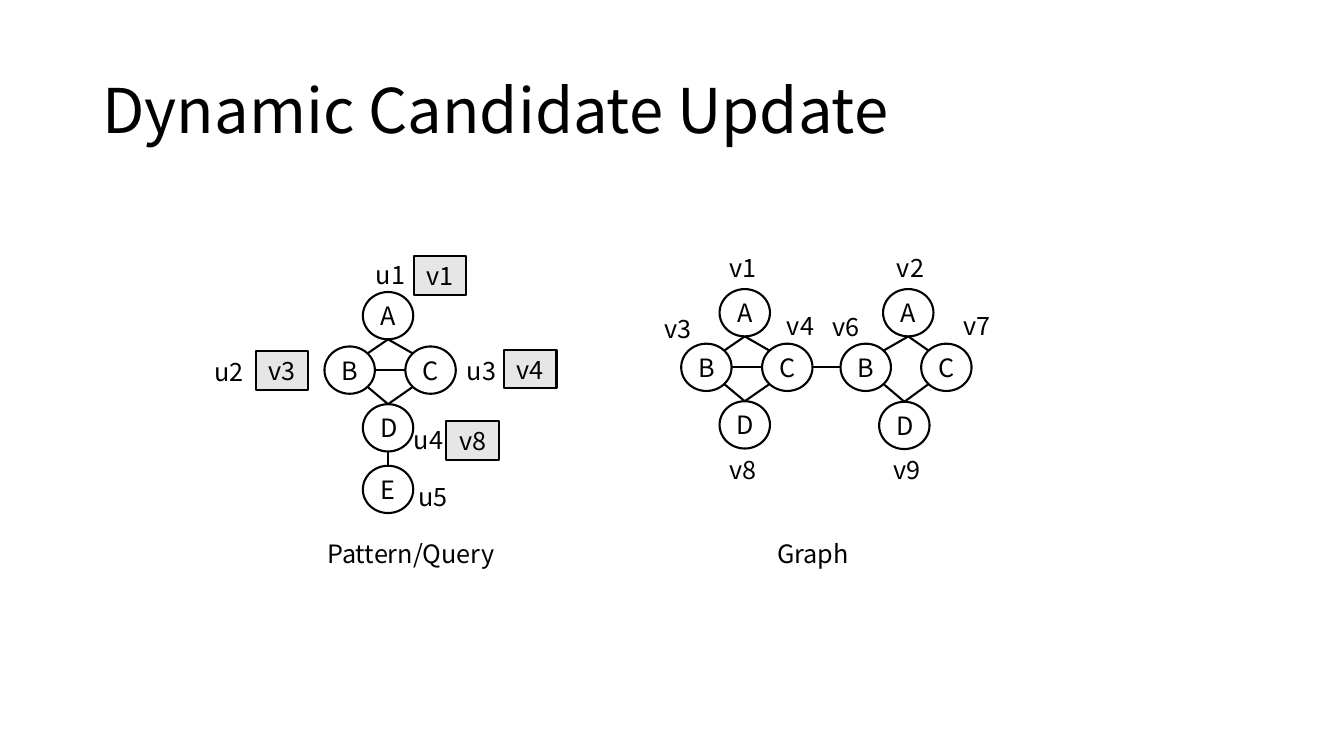
"""Build the Dynamic Candidate Update slide: a query pattern beside its data graph."""
from lxml import etree
from pptx import Presentation
from pptx.dml.color import RGBColor
from pptx.enum import shapes, text
from pptx.oxml import ns
from pptx.util import Pt

FONT, BLACK, WHITE, GREY = "Noto Sans CJK SC", "000000", "FFFFFF", "E7E6E6"
TITLE = "Dynamic Candidate Update"
NODE, LABEL, CANDIDATE, CAPTION = (36, 33.8), (44.6, 29), (37.5, 27.5), (134, 29)
SITES = {"top": (0.5, 0), "bottom": (0.5, 1), "left": (0, 0.5), "right": (1, 0.5),
         "top left": (0.146, 0.146), "top right": (0.854, 0.146),
         "bottom left": (0.146, 0.854), "bottom right": (0.854, 0.854)}

GRAPH = {
    "nodes": {"v1": ("A", 514, 206.5), "v4": ("C", 544.4, 245.5),
              "v3": ("B", 486.6, 245.5), "v8": ("D", 514, 286.6),
              "v2": ("A", 630.8, 206.5), "v7": ("C", 658, 245.5),
              "v6": ("B", 600.4, 245.5), "v9": ("D", 628, 287)},
    "diamonds": [("v1", "v3", "v4", "v8"), ("v2", "v6", "v7", "v9")],
    "links": [("v4", "left", "v3", "right"), ("v6", "left", "v4", "right")],
    "labels": [("v1", 514, 177), ("v2", 633.6, 177), ("v3", 467.3, 220.3),
               ("v4", 555, 218.3), ("v6", 587.5, 219), ("v7", 681, 218.3),
               ("v8", 514, 321), ("v9", 631.4, 321)],
    "candidates": [],
    "caption": ("Graph", 548, 381),
}
QUERY = {
    "nodes": {"u1": ("A", 259.2, 208.6), "u3": ("C", 289.6, 247.5),
              "u2": ("B", 231.8, 247.5), "u4": ("D", 259.2, 288.7),
              "u5": ("E", 259.2, 332.7)},
    "diamonds": [("u1", "u2", "u3", "u4")],
    "links": [("u3", "left", "u2", "right"), ("u5", "top", "u4", "bottom")],
    "labels": [("u1", 261.4, 181.4), ("u2", 146, 251.3), ("u3", 326.4, 250),
               ("u4", 288.6, 299.7), ("u5", 292, 340)],
    "candidates": [("v1", 295.4, 183), ("v8", 318.8, 301),
                   ("v4", 360, 250), ("v3", 182.7, 251)],
    "caption": ("Pattern/Query", 226.8, 381),
}


def rgb(value):
    return RGBColor.from_string(value)


def write(tf, words, size, align):
    p = tf.paragraphs[0]
    p.alignment = align
    r = p.add_run()
    r.text = words
    r.font.size, r.font.name = Pt(size), FONT
    r.font.color.rgb = rgb(BLACK)
    return p


def add_outlined(group, kind, words, left, top, size, fill):
    s = group.shapes.add_shape(kind, Pt(left), Pt(top), *map(Pt, size))
    s.shadow.inherit = False
    s.fill.solid()
    s.fill.fore_color.rgb = rgb(fill)
    s.line.color.rgb, s.line.width = rgb(BLACK), Pt(1.5)
    s.text_frame.vertical_anchor = text.MSO_ANCHOR.MIDDLE
    write(s.text_frame, words, 18, text.PP_ALIGN.CENTER)


def add_label(group, words, left, top, size):
    tf = group.shapes.add_textbox(Pt(left), Pt(top), *map(Pt, size)).text_frame
    tf.word_wrap = True
    tf.auto_size = text.MSO_AUTO_SIZE.SHAPE_TO_FIT_TEXT
    write(tf, words, 18, text.PP_ALIGN.LEFT)


def add_edge(group, nodes, start, start_site, end, end_site):
    ends = []
    for node, site in ((start, start_site), (end, end_site)):
        for origin, length, part in zip(nodes[node][1:], NODE, SITES[site]):
            ends.append(Pt(origin + length * part))
    s = group.shapes.add_connector(shapes.MSO_CONNECTOR.STRAIGHT, *ends)
    s.line.color.rgb, s.line.width = rgb(BLACK), Pt(1.5)
    etree.SubElement(s._element.spPr, ns.qn("a:effectLst"))


def diamond_edges(a, b, c, d):
    return [(a, "bottom", c, "top left"), (a, "bottom", b, "top right"),
            (c, "bottom left", d, "top"), (d, "top", b, "bottom right")]


def add_network(slide, network):
    group = slide.shapes.add_group_shape()
    nodes = network["nodes"]
    for letter, left, top in nodes.values():
        add_outlined(group, shapes.MSO_SHAPE.OVAL, letter, left, top, NODE, WHITE)
    edges = [e for d in network["diamonds"] for e in diamond_edges(*d)]
    for edge in edges + network["links"]:
        add_edge(group, nodes, *edge)
    for label in network["labels"]:
        add_label(group, *label, LABEL)
    add_label(group, *network["caption"], CAPTION)
    for candidate in network["candidates"]:
        add_outlined(group, shapes.MSO_SHAPE.RECTANGLE, *candidate, CANDIDATE, GREY)


def main():
    prs = Presentation()
    prs.slide_width, prs.slide_height = Pt(960), Pt(540)
    slide = prs.slides.add_slide(prs.slide_layouts[5])
    s = slide.shapes.title
    s.left, s.top, s.width, s.height = Pt(66), Pt(28.75), Pt(828), Pt(104.4)
    tf = s.text_frame
    tf.auto_size = text.MSO_AUTO_SIZE.NONE
    tf.vertical_anchor = text.MSO_ANCHOR.MIDDLE
    write(tf, TITLE, 44, text.PP_ALIGN.LEFT).line_spacing = 0.9
    for network in (GRAPH, QUERY):
        add_network(slide, network)
    prs.save("out.pptx")


if __name__ == "__main__":
    main()
